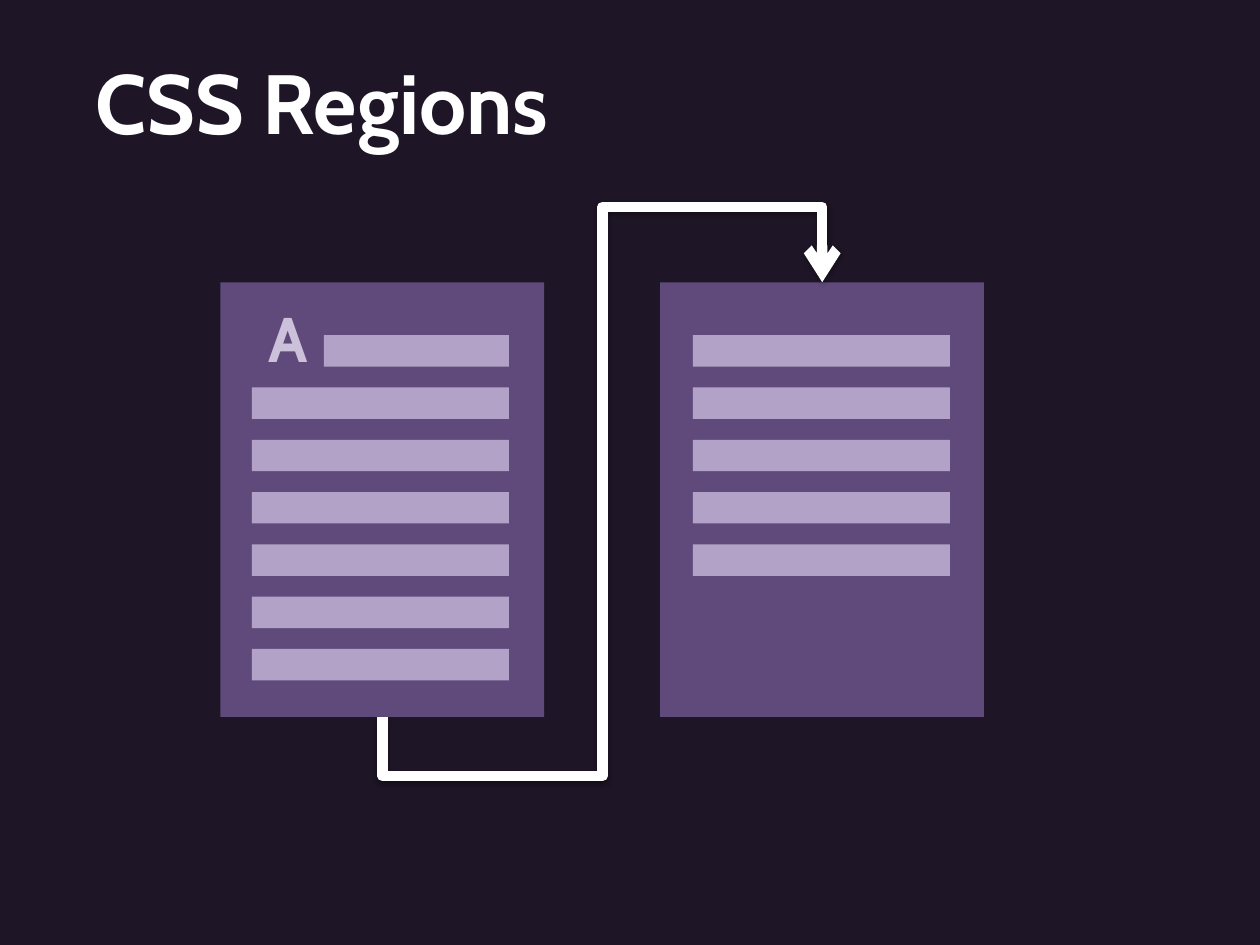
from lxml.etree import SubElement
from pptx import Presentation
from pptx.dml.color import RGBColor
from pptx.enum.shapes import MSO_CONNECTOR as Connector, MSO_SHAPE as Shape
from pptx.enum.text import PP_ALIGN as Align
from pptx.oxml import parse_xml
from pptx.oxml.ns import nsdecls, qn
from pptx.util import Inches, Pt

BACKGROUND, PAGE, BAR, LETTER, WHITE = "1E1526", "604A7B", "B3A2C7", "CCC1DA", "FFFFFF"
PAGE_TOP, PAGE_WIDTH, PAGE_HEIGHT = 2.24, 2.57, 3.45
BAR_TOP, BAR_STEP, BAR_WIDTH, BAR_HEIGHT = 2.66, 0.415, 2.04, 0.25
BEND_ADJUSTMENTS = (-13600, 50000, 117300)


def paint(color_owner, color):
    """Give a fill a solid colour from a hex string."""
    color_owner.solid()
    color_owner.fore_color.rgb = RGBColor.from_string(color)


def add_rectangle(slide, left, top, width, height, color):
    """Add a plain filled rectangle without outline or shadow."""
    shape = slide.shapes.add_shape(
        Shape.RECTANGLE, Inches(left), Inches(top), Inches(width), Inches(height))
    paint(shape.fill, color)
    shape.line.fill.background()
    shape.shadow.inherit = False
    return shape


def add_text(slide, text, left, top, width, height, *, size, color,
             align=Align.LEFT, line_spacing=None):
    """Add a text box with one bold paragraph."""
    box = slide.shapes.add_textbox(
        Inches(left), Inches(top), Inches(width), Inches(height))
    box.text_frame.word_wrap = True
    paragraph = box.text_frame.paragraphs[0]
    paragraph.alignment = align
    paragraph.line_spacing = line_spacing
    run = paragraph.add_run()
    run.text = text
    run.font.name = "Cabin"
    run.font.size = Pt(size)
    run.font.bold = True
    paint(run.font.fill, color)


def add_bars(slide, left, count, first_indent=0):
    """Add evenly spaced bars standing for lines of text."""
    for row in range(count):
        indent = 0 if row else first_indent
        add_rectangle(slide, left + indent, BAR_TOP + row * BAR_STEP,
                      BAR_WIDTH - indent, BAR_HEIGHT, BAR)


def add_flow_arrow(slide, source, target):
    """Lead a five-part bent arrow from the bottom of one page to the top of the next."""
    connector = slide.shapes.add_connector(Connector.ELBOW, 0, 0, 0, 0)
    connector.begin_connect(source, 2)
    connector.end_connect(target, 0)
    start_x, end_x = connector.begin_x, connector.end_x
    start_y, end_y = connector.begin_y, connector.end_y
    width, height = abs(end_y - start_y), abs(end_x - start_x)
    connector.left = (start_x + end_x - width) // 2
    connector.top = (start_y + end_y - height) // 2
    connector.width, connector.height = width, height

    properties = connector._element.spPr
    transform = properties.find(qn("a:xfrm"))
    for name, value in (("rot", "5400000"), ("flipH", "1"), ("flipV", "1")):
        transform.set(name, value)
    geometry = properties.find(qn("a:prstGeom"))
    geometry.set("prst", "bentConnector5")
    guides = geometry.find(qn("a:avLst"))
    if guides is None:
        guides = SubElement(geometry, qn("a:avLst"))
    for number, value in enumerate(BEND_ADJUSTMENTS, 1):
        SubElement(guides, qn("a:gd"), name=f"adj{number}", fmla=f"val {value}")

    connector.line.width = Pt(6)
    paint(connector.line.fill, WHITE)
    SubElement(connector.line._get_or_add_ln(), qn("a:tailEnd"), type="arrow")
    properties.append(parse_xml(
        f'<a:effectLst {nsdecls("a")}>'
        '<a:outerShdw blurRad="40000" dist="20000" dir="5400000" rotWithShape="0">'
        '<a:srgbClr val="000000"><a:alpha val="38000"/></a:srgbClr>'
        '</a:outerShdw></a:effectLst>'))


def main():
    """Build the slide and save it."""
    presentation = Presentation()
    presentation.slide_width, presentation.slide_height = Inches(10), Inches(7.5)
    slide = presentation.slides.add_slide(presentation.slide_layouts[6])
    paint(slide.background.fill, BACKGROUND)

    first_page, second_page = [
        add_rectangle(slide, left, PAGE_TOP, PAGE_WIDTH, PAGE_HEIGHT, PAGE)
        for left in (1.75, 5.24)]
    add_flow_arrow(slide, first_page, second_page)
    add_text(slide, "CSS Regions", 0.66, 0.35, 8.26, 0.91, size=48, color=WHITE)
    add_text(slide, "A", 2, 2.59, 0.57, 0.45, size=36, color=LETTER,
             align=Align.CENTER, line_spacing=0.5)
    add_bars(slide, 2, 7, first_indent=0.57)
    add_bars(slide, 5.5, 5)
    presentation.save("out.pptx")


if __name__ == "__main__":
    main()
